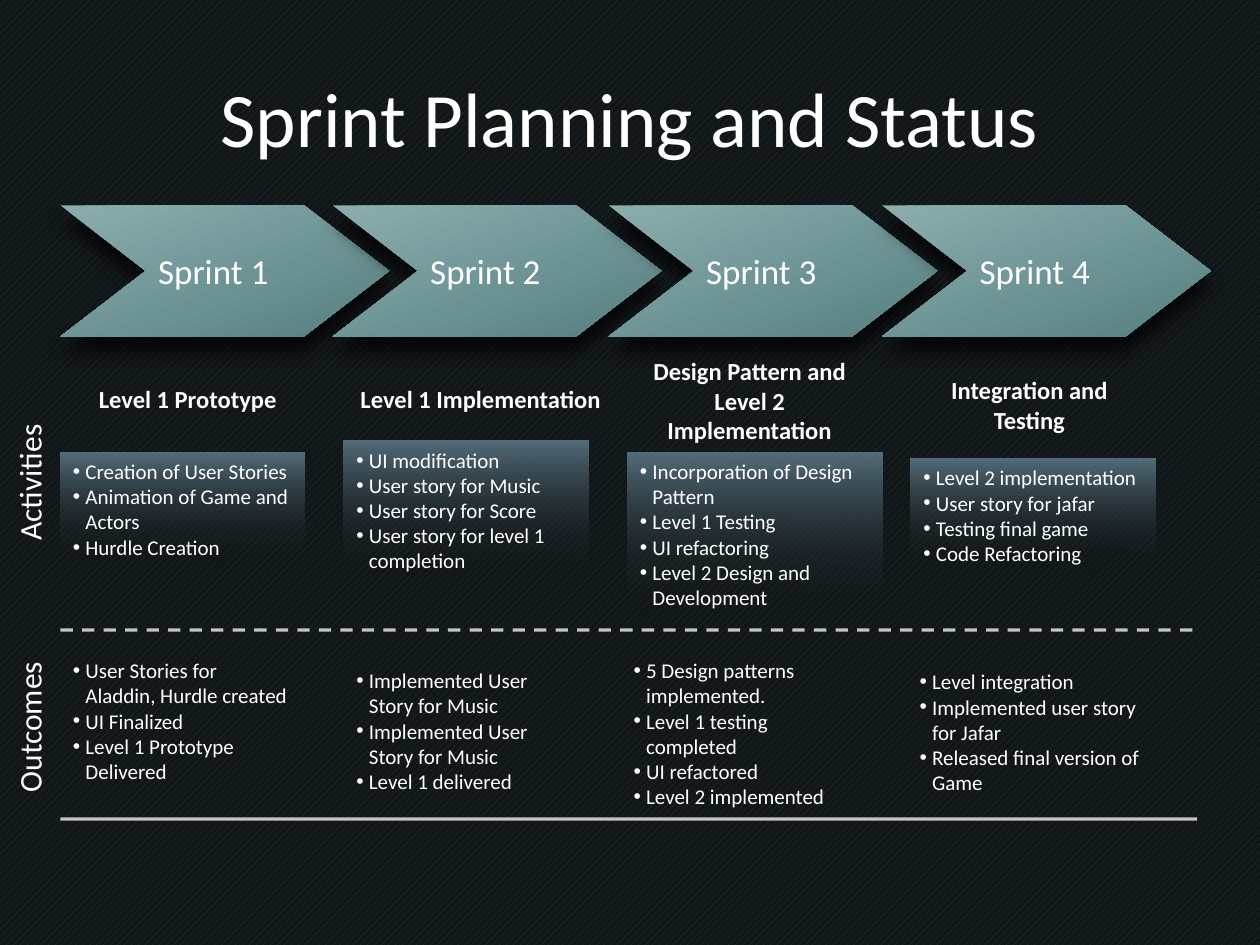
from dataclasses import dataclass

from lxml.etree import SubElement
from pptx import Presentation
from pptx.dml.color import RGBColor
from pptx.enum.dml import MSO_LINE, MSO_PATTERN
from pptx.enum.shapes import MSO_CONNECTOR, MSO_SHAPE
from pptx.enum.text import MSO_ANCHOR, MSO_AUTO_SIZE, PP_ALIGN
from pptx.oxml.ns import qn
from pptx.util import Inches, Pt


@dataclass(frozen=True)
class Theme:
    font: str = "Calibri"
    text: RGBColor = RGBColor.from_string("FFFFFF")
    background: RGBColor = RGBColor.from_string("111618")
    stripe: RGBColor = RGBColor.from_string("2A373D")
    chevron_light: RGBColor = RGBColor.from_string("8CADAE")
    chevron_dark: RGBColor = RGBColor.from_string("567F80")
    panel: RGBColor = RGBColor.from_string("546D7A")
    title_size: int = 44
    sprint_size: int = 20
    label_size: int = 18
    heading_size: int = 14
    body_size: int = 12


theme = Theme()


def write_text(shape, lines, size, align=PP_ALIGN.LEFT, bold=False, bullets=False, **frame_format):
    frame = shape.text_frame
    for name, value in ({"word_wrap": True} | frame_format).items():
        setattr(frame, name, value)
    frame.text = "\n".join(lines)
    for paragraph in frame.paragraphs:
        paragraph.alignment = align
        font = paragraph.runs[0].font
        for name, value in {"name": theme.font, "size": Pt(size), "bold": bold}.items():
            setattr(font, name, value)
        font.color.rgb = theme.text
        if bullets:
            properties = paragraph._p.get_or_add_pPr()
            properties.set("marL", str(Inches(0.1)))
            properties.set("indent", str(Inches(-0.1)))
            SubElement(properties, qn("a:buFont"), typeface="Arial")
            SubElement(properties, qn("a:buChar"), char="•")


def fill_gradient(shape, start, end, angle):
    shape.shadow.inherit = False
    shape.line.fill.background()
    shape.fill.gradient()
    shape.fill.gradient_angle = 360 - angle
    for stop, color, position in zip(shape.fill.gradient_stops, (start, end), (0, 1)):
        stop.color.rgb = color
        stop.position = position


presentation = Presentation()
presentation.slide_width = Inches(10)
presentation.slide_height = Inches(7.5)
slide = presentation.slides.add_slide(presentation.slide_layouts[5])
shapes = slide.shapes

background = slide.background.fill
background.patterned()
background.pattern = MSO_PATTERN.WIDE_UPWARD_DIAGONAL
background.fore_color.rgb = theme.stripe
background.back_color.rgb = theme.background

title = shapes.title
for name, value in {"left": 0.5, "top": 0.3, "width": 9, "height": 1.25}.items():
    setattr(title, name, Inches(value))
write_text(title, ["Sprint Planning and Status"], theme.title_size, PP_ALIGN.CENTER,
           vertical_anchor=MSO_ANCHOR.MIDDLE)

for number, left in enumerate((0.48, 2.64, 4.83, 7), start=1):
    chevron = shapes.add_shape(MSO_SHAPE.CHEVRON, Inches(left), Inches(1.63), Inches(2.61), Inches(1.04))
    chevron.adjustments[0] = 0.65
    fill_gradient(chevron, theme.chevron_light, theme.chevron_dark, 69)
    effects = chevron._element.spPr.find(qn("a:effectLst"))
    shadow = SubElement(effects, qn("a:outerShdw"), blurRad=str(Pt(9)), dist=str(Pt(9)),
                        dir="5400000", rotWithShape="0")
    shadow_color = SubElement(shadow, qn("a:srgbClr"), val="000000")
    SubElement(shadow_color, qn("a:alpha"), val="70000")
    write_text(chevron, [f"Sprint {number}"], theme.sprint_size, vertical_anchor=MSO_ANCHOR.MIDDLE,
               margin_left=Inches(0.1), margin_top=Inches(0.01),
               margin_right=Inches(0.01), margin_bottom=Inches(0.01))

headings = [
    ((0.48, 3, 2.02, 0.34), "Level 1 Prototype"),
    ((2.73, 3, 2.17, 0.34), "Level 1 Implementation"),
    ((4.98, 2.78, 1.94, 0.81), "Design Pattern and Level 2 Implementation"),
    ((7.2, 2.93, 1.94, 0.57), "Integration and Testing"),
]
for box, heading in headings:
    textbox = shapes.add_textbox(*map(Inches, box))
    write_text(textbox, [heading], theme.heading_size, PP_ALIGN.CENTER, bold=True,
               auto_size=MSO_AUTO_SIZE.SHAPE_TO_FIT_TEXT)

activities = [
    ((0.48, 3.59, 1.94, 0.91),
     ["Creation of User Stories", "Animation of Game and Actors", "Hurdle Creation"]),
    ((2.73, 3.5, 1.94, 1.11),
     ["UI modification", "User story for Music", "User story for Score",
      "User story for level 1 completion"]),
    ((4.98, 3.59, 2.02, 1.31),
     ["Incorporation of Design Pattern", "Level 1 Testing", "UI refactoring",
      "Level 2 Design and Development"]),
    ((7.23, 3.64, 1.94, 0.91),
     ["Level 2 implementation", "User story for jafar", "Testing final game", "Code Refactoring"]),
]
for box, items in activities:
    panel = shapes.add_shape(MSO_SHAPE.RECTANGLE, *map(Inches, box))
    fill_gradient(panel, theme.panel, theme.background, 90)
    end_color = panel._element.spPr.findall(".//" + qn("a:srgbClr"))[-1]
    SubElement(end_color, qn("a:alpha"), val="0")
    write_text(panel, items, theme.body_size, bullets=True, vertical_anchor=MSO_ANCHOR.TOP,
               auto_size=MSO_AUTO_SIZE.SHAPE_TO_FIT_TEXT)

outcomes = [
    ((0.48, 5.17, 1.92, 1.11),
     ["User Stories for Aladdin, Hurdle created", "UI Finalized", "Level 1 Prototype Delivered"]),
    ((2.73, 5.25, 1.94, 1.11),
     ["Implemented User Story for Music", "Implemented User Story for Music", "Level 1 delivered"]),
    ((4.93, 5.17, 1.94, 1.31),
     ["5 Design patterns implemented.", "Level 1 testing completed", "UI refactored",
      "Level 2 implemented"]),
    ((7.2, 5.26, 1.94, 1.11),
     ["Level integration", "Implemented user story for Jafar", "Released final version of Game"]),
]
for box, items in outcomes:
    textbox = shapes.add_textbox(*map(Inches, box))
    write_text(textbox, items, theme.body_size, bullets=True,
               auto_size=MSO_AUTO_SIZE.SHAPE_TO_FIT_TEXT)

for label, top, line_top, dash in (("Activities", 3.68, 5, MSO_LINE.DASH),
                                   ("Outcomes", 5.62, 6.5, MSO_LINE.SOLID)):
    textbox = shapes.add_textbox(Inches(-0.83), Inches(top), Inches(2.12), Inches(0.3))
    textbox.rotation = 270
    write_text(textbox, [label], theme.label_size, PP_ALIGN.CENTER,
               word_wrap=False, vertical_anchor=MSO_ANCHOR.MIDDLE)

    divider = shapes.add_connector(MSO_CONNECTOR.STRAIGHT, Inches(0.48), Inches(line_top),
                                   Inches(9.5), Inches(line_top))
    divider.line.color.rgb = theme.text
    divider.line.width = Pt(1.75)
    divider.line.dash_style = dash
    properties = divider._element.spPr
    SubElement(properties.find(".//" + qn("a:srgbClr")), qn("a:alpha"), val="74000")
    SubElement(properties, qn("a:effectLst"))

presentation.save("out.pptx")
